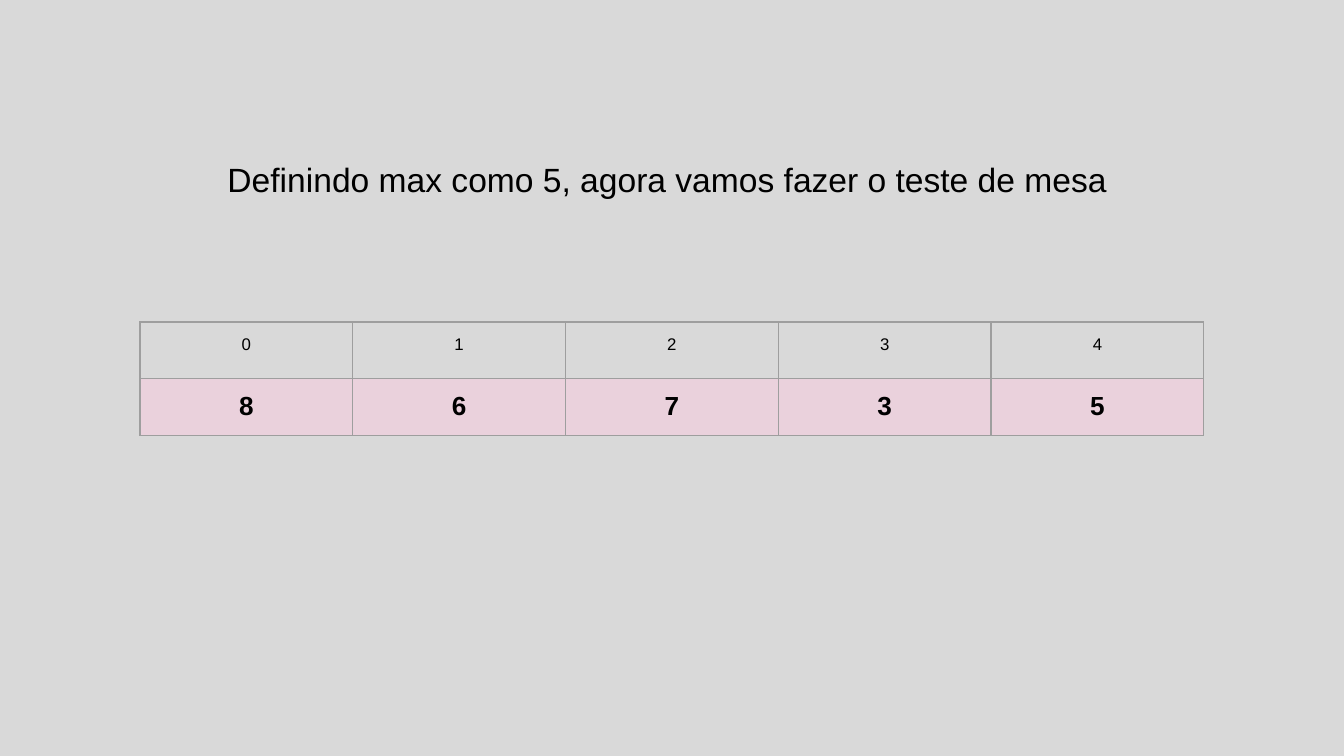
from lxml import etree
from pptx import Presentation
from pptx.dml.color import RGBColor
from pptx.enum.text import MSO_ANCHOR, PP_ALIGN
from pptx.oxml.ns import qn
from pptx.util import Pt

EMU_PER_PX = 914400 / 134.4
CENTER = PP_ALIGN.CENTER
TOP = MSO_ANCHOR.TOP

GREY = RGBColor(0xD9, 0xD9, 0xD9)
PINK = RGBColor(0xEA, 0xD1, 0xDC)
BLACK = RGBColor(0x00, 0x00, 0x00)
BORDER = RGBColor(0x9E, 0x9E, 0x9E)


def px(n):
    return round(n * EMU_PER_PX)


class Deck:
    font = "Arial"
    margin = px(13)
    border_width = Pt(0.75)

    def __init__(self, width, height, background):
        self.prs = Presentation()
        self.prs.slide_width, self.prs.slide_height = px(width), px(height)
        self.s = self.prs.slides.add_slide(self.prs.slide_layouts[6])
        fill = self.s.background.fill
        fill.solid()
        fill.fore_color.rgb = background

    def add_run(self, tf, text, size, bold=False):
        p = tf.paragraphs[0]
        p.alignment = CENTER
        r = p.add_run()
        r.text = text
        r.font.name = self.font
        r.font.size = Pt(size)
        r.font.bold = bold
        r.font.color.rgb = BLACK

    def inset(self, target):
        target.margin_left = target.margin_right = self.margin
        target.margin_top = target.margin_bottom = self.margin
        target.vertical_anchor = TOP

    def text(self, x, y, w, h, text, size):
        tf = self.s.shapes.add_textbox(px(x), px(y), px(w), px(h)).text_frame
        tf.word_wrap = True
        self.inset(tf)
        self.add_run(tf, text, size)

    def border(self, cell):
        tc_pr = cell._tc.get_or_add_tcPr()
        for i, side in enumerate(("a:lnL", "a:lnR", "a:lnT", "a:lnB")):
            ln = etree.Element(qn(side), w=str(self.border_width))
            fill = etree.SubElement(ln, qn("a:solidFill"))
            etree.SubElement(fill, qn("a:srgbClr"), val=str(BORDER))
            tc_pr.insert(i, ln)

    def table(self, x, y, w, h, rows):
        """Each row is (values, size, bold, fill); a fill of None is clear."""
        n_cols = len(rows[0][0])
        table = self.s.shapes.add_table(
            len(rows), n_cols, px(x), px(y), px(w), px(h)).table
        table.first_row = table.horz_banding = False
        for i, (values, size, bold, fill) in enumerate(rows):
            for j, value in enumerate(values):
                cell = table.cell(i, j)
                self.inset(cell)
                self.add_run(cell.text_frame, value, size, bold)
                if fill is None:
                    cell.fill.background()
                else:
                    cell.fill.solid()
                    cell.fill.fore_color.rgb = fill
                self.border(cell)


def main():
    deck = Deck(1344, 756, GREY)

    # Heading
    deck.text(160, 146, 1024, 120,
              "Definindo max como 5, agora vamos fazer o teste de mesa ", 18)

    # Array: indices above values
    values = "86735"
    indices = [str(i) for i in range(len(values))]
    deck.table(140, 322, 1064, 113, [
        (indices, 9, False, None),
        (values, 14, True, PINK),
    ])

    deck.prs.save("out.pptx")


if __name__ == "__main__":
    main()
